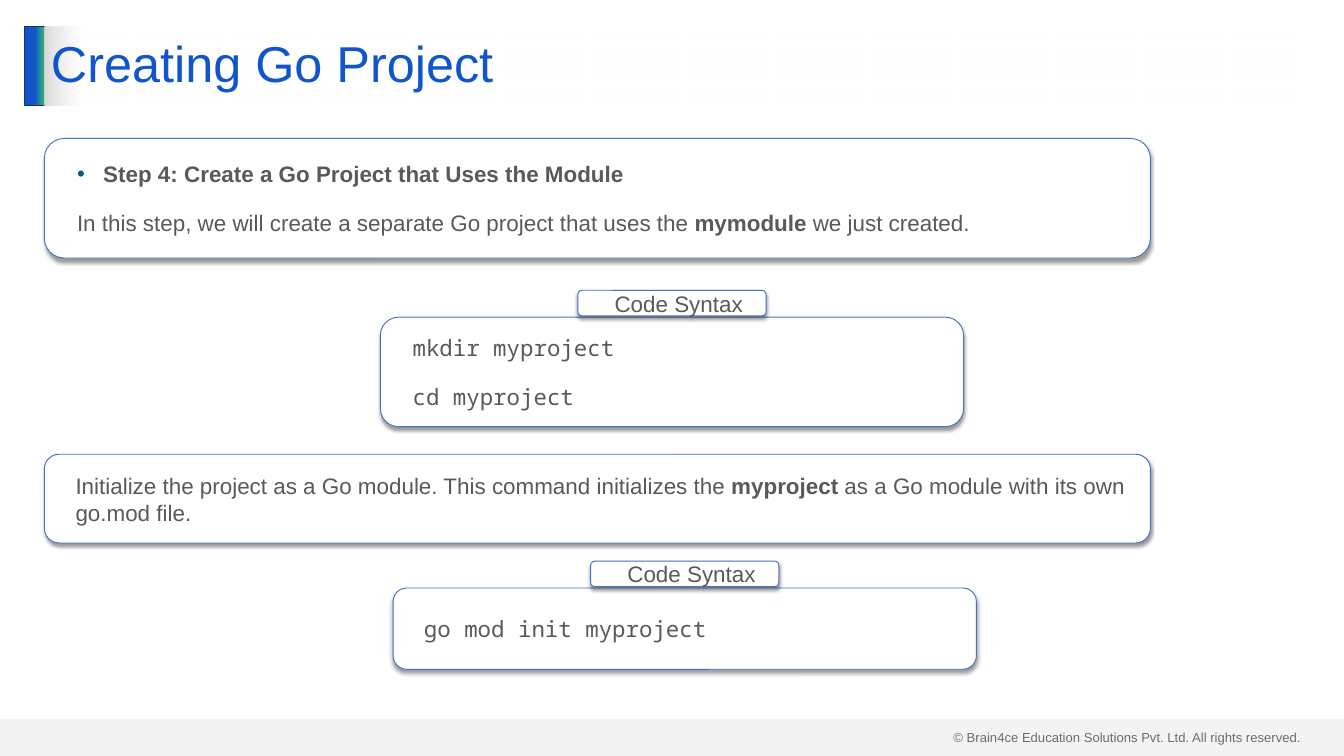
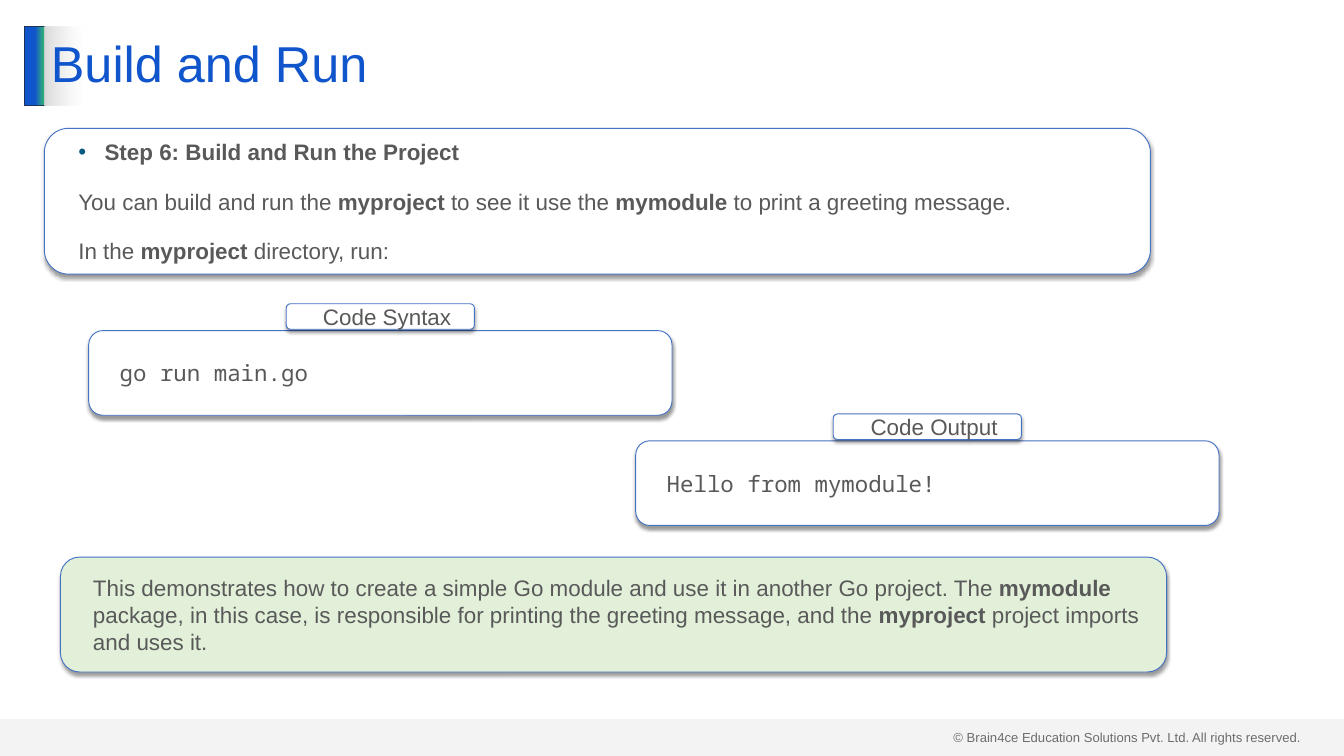
from lxml import etree
from pptx import Presentation
from pptx.dml.color import RGBColor
from pptx.enum.shapes import MSO_SHAPE
from pptx.enum.text import MSO_ANCHOR, PP_ALIGN
from pptx.oxml import parse_xml
from pptx.oxml.ns import nsdecls, qn
from pptx.util import Inches, Pt

RECT, ROUNDED = MSO_SHAPE.RECTANGLE, MSO_SHAPE.ROUNDED_RECTANGLE
LEFT, CENTER = PP_ALIGN.LEFT, PP_ALIGN.CENTER
MIDDLE, TOP = MSO_ANCHOR.MIDDLE, MSO_ANCHOR.TOP

COLORS = {
    "blue": "1155CC", "green": "2EA87D", "navy": "1E3256", "outline": "4472C4",
    "bullet": "095A82", "text": "595959", "footer": "404040", "grey": "D9D9D9",
    "white": "FFFFFF", "mint": "E2F0D9", "black": "000000",
}
SANS, MONO = "Arial", "Noto Sans Mono"

# The slide is a grid of 20 columns by 11.25 rows, each one inch.
COLUMNS, ROWS = 20, 11.25
MARGIN = 0.66
PANEL_WIDTH = 16.46
CODE_WIDTH = 8.68
LABEL_WIDTH, LABEL_HEIGHT, LABEL_RISE = 2.8, 0.38, 0.4
TITLE_TOP, TITLE_HEIGHT = 0.39, 1.18
FOOTER_HEIGHT = 0.55
INDENT, BULLET_INDENT, BULLET_HANG = 0.2, 0.59, 0.39
FOOTER = "© Brain4ce Education Solutions Pvt. Ltd. All rights reserved."

# "- " opens a bullet, ** surrounds bold words.
SLIDES = [
    {
        "title": "Creating Go Project",
        "panels": [
            {"left": MARGIN, "top": 2.06, "height": 1.78, "lines": [
                "- **Step 4: Create a Go Project that Uses the Module**",
                "In this step, we will create a separate Go project that uses "
                "the **mymodule** we just created."]},
            {"left": MARGIN, "top": 6.76, "height": 1.32, "lines": [
                "Initialize the project as a Go module. This command initializes "
                "the **myproject** as a Go module with its own go.mod file."]},
        ],
        "code": [
            {"label": "Code Syntax", "left": 5.66, "top": 4.72, "height": 1.63,
             "lines": ["mkdir myproject", "cd myproject"]},
            {"label": "Code Syntax", "left": 5.85, "top": 8.75, "height": 1.21,
             "lines": ["go mod init myproject"]},
        ],
    },
    {
        "title": "Build and Run",
        "panels": [
            {"left": MARGIN, "top": 1.91, "height": 2.17, "lines": [
                "- **Step 6: Build and Run the Project**",
                "You can build and run the **myproject** to see it use the "
                "**mymodule** to print a greeting message.",
                "In the **myproject** directory, run:"]},
            {"left": 0.9, "top": 8.29, "height": 1.71, "fill": "mint", "lines": [
                "This demonstrates how to create a simple Go module and use it in "
                "another Go project. The **mymodule** package, in this case, is "
                "responsible for printing the greeting message, and the "
                "**myproject** project imports and uses it."]},
        ],
        "code": [
            {"label": "Code Syntax", "left": 1.32, "top": 4.92, "height": 1.26,
             "lines": ["go run main.go"]},
            {"label": "Code Output", "left": 9.46, "top": 6.56, "height": 1.26,
             "lines": ["Hello from mymodule!"]},
        ],
    },
]


def rgb(name):
    return RGBColor.from_string(COLORS[name])


def add_box(page, kind, place, fill=None, line=None):
    box = page.shapes.add_shape(kind, *(Inches(length) for length in place))
    box.shadow.inherit = False
    if fill:
        box.fill.solid()
        box.fill.fore_color.rgb = rgb(fill)
    else:
        box.fill.background()
    if line:
        box.line.color.rgb = rgb(line)
        box.line.width = Pt(1)
    else:
        box.line.fill.background()
    return box


def color_xml(name, alpha=100):
    return (f'<a:srgbClr val="{COLORS[name]}">'
            f'<a:alpha val="{alpha * 1000}"/></a:srgbClr>')


def replace_fill(box, xml):
    properties = box._element.spPr
    properties.replace(properties.find(qn("a:noFill")), parse_xml(xml))


def set_gradient(box, stops):
    """Fill from left to right; each stop is (percent, colour, opacity)."""
    marks = "".join(f'<a:gs pos="{position * 1000}">{color_xml(name, alpha)}</a:gs>'
                    for position, name, alpha in stops)
    replace_fill(box, f'<a:gradFill {nsdecls("a")} rotWithShape="1">'
                      f'<a:gsLst>{marks}</a:gsLst><a:lin ang="0" scaled="0"/></a:gradFill>')


def add_shadow(box):
    effects = box._element.spPr.find(qn("a:effectLst"))
    effects.append(parse_xml(
        f'<a:outerShdw {nsdecls("a")} blurRad="{Pt(4)}" dist="{Pt(3)}" dir="5400000" '
        f'algn="t" rotWithShape="0">{color_xml("black", 40)}</a:outerShdw>'))


def set_indent(para, bullet):
    properties = para._p.get_or_add_pPr()
    properties.set("marL", str(Inches(BULLET_INDENT if bullet else INDENT)))
    properties.set("indent", str(Inches(-BULLET_HANG if bullet else 0)))
    if bullet:
        tint = etree.SubElement(properties, qn("a:buClr"))
        etree.SubElement(tint, qn("a:srgbClr"), val=COLORS["bullet"])
        etree.SubElement(properties, qn("a:buFont"), typeface=SANS)
        etree.SubElement(properties, qn("a:buChar"), char="•")


def write(box, lines, size=24, font=SANS, color="text", align=LEFT, anchor=MIDDLE,
          inset=0.2, indented=True, line_spacing=None):
    frame = box.text_frame
    frame.word_wrap = True
    frame.vertical_anchor = anchor
    frame.margin_left = frame.margin_right = Inches(inset)
    for number, line in enumerate(lines):
        para = frame.add_paragraph() if number else frame.paragraphs[0]
        bullet = line.startswith("- ")
        if indented:
            set_indent(para, bullet)
        para.alignment = align
        para.line_spacing = line_spacing
        if number:
            para.space_before = Pt(24)
        for part, words in enumerate(line.removeprefix("- ").split("**")):
            if words:
                span = para.add_run()
                span.text = words
                span.font.size = Pt(size)
                span.font.name = font
                span.font.bold = part % 2 == 1
                span.font.color.rgb = rgb(color)


def add_card(page, place, lines, fill="white", **text_format):
    card = add_box(page, ROUNDED, place, fill, "outline")
    add_shadow(card)
    write(card, lines, **text_format)


def add_code(page, label, left, top, height, lines):
    add_card(page, (left, top, CODE_WIDTH, height), lines, font=MONO)
    label_left = left + (CODE_WIDTH - LABEL_WIDTH) / 2
    add_card(page, (label_left, top - LABEL_RISE, LABEL_WIDTH, LABEL_HEIGHT),
             [label], align=CENTER)


def add_frame(page, title):
    """Draw the footer, the accent bar and the title."""
    note = page.shapes.add_textbox(Inches(14.09), Inches(10.8), Inches(5.41), Inches(0.34))
    write(note, [FOOTER], size=14, color="footer", anchor=TOP, inset=0.1, indented=False)

    accent = add_box(page, RECT, (0.37, TITLE_TOP, 0.3, TITLE_HEIGHT), line="navy")
    set_gradient(accent, [(51, "blue", 100), (90, "green", 100), (100, "green", 100)])

    band = add_box(page, RECT, (0, ROWS - FOOTER_HEIGHT, COLUMNS, FOOTER_HEIGHT))
    replace_fill(band, f'<a:solidFill {nsdecls("a")}>{color_xml("grey", 29)}</a:solidFill>')

    heading = add_box(page, RECT, (MARGIN, TITLE_TOP, 18.67, TITLE_HEIGHT))
    set_gradient(heading, [(0, "grey", 100), (3, "white", 50), (100, "white", 50)])
    write(heading, [title], size=54, color="blue", inset=0.1, indented=False,
          line_spacing=0.9)


def main():
    deck = Presentation()
    deck.slide_width, deck.slide_height = Inches(COLUMNS), Inches(ROWS)
    for content in SLIDES:
        page = deck.slides.add_slide(deck.slide_layouts[6])
        add_frame(page, content["title"])
        for panel in content["panels"]:
            place = (panel["left"], panel["top"], PANEL_WIDTH, panel["height"])
            add_card(page, place, panel["lines"], fill=panel.get("fill", "white"))
        for block in content["code"]:
            add_code(page, **block)
    deck.save("out.pptx")


if __name__ == "__main__":
    main()
